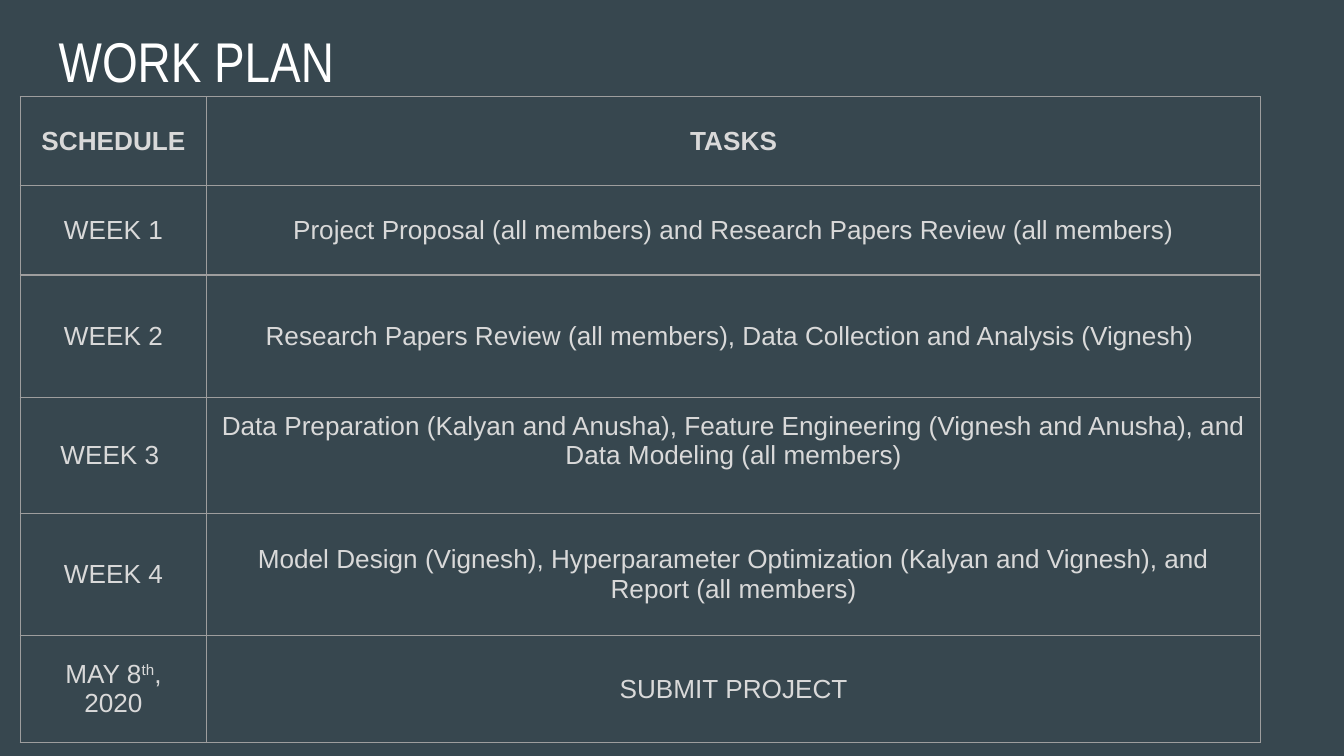
from pptx import Presentation
from pptx.dml.color import RGBColor
from pptx.enum.text import MSO_ANCHOR, MSO_AUTO_SIZE, PP_ALIGN
from pptx.oxml import parse_xml
from pptx.oxml.ns import nsdecls
from pptx.util import Cm, Pt

BACKGROUND, WHITE, TEXT, BORDER = "37474F", "FFFFFF", "D9D9D9", "9E9E9E"
INSET = Cm(0.25)
COLUMN_WIDTHS = [3.53, 19.91]
ROW_HEIGHTS = [1.67, 1.7, 2.31, 2.19, 2.31, 2.03]

# Each cell is a list of runs; every second run is superscript
PLAN = [
    (["SCHEDULE"], ["TASKS"]),
    (["WEEK 1"], ["Project Proposal (all members) and Research Papers Review (all members)"]),
    (["WEEK 2"], ["Research Papers Review (all members), Data Collection and Analysis (Vignesh) "]),
    (["WEEK 3 "], ["Data Preparation (Kalyan and Anusha), Feature Engineering "
                   "(Vignesh and Anusha), and Data Modeling (all members)"]),
    (["WEEK 4"], ["Model Design (Vignesh), Hyperparameter Optimization "
                  "(Kalyan and Vignesh), and Report (all members)"]),
    (["MAY 8", "th", ", 2020"], ["SUBMIT PROJECT"]),
]


def rgb(color):
    return RGBColor.from_string(color)


def set_font(p, name, size, color, bold=False):
    p.font.name, p.font.size, p.font.bold = name, Pt(size), bold
    p.font.color.rgb = rgb(color)


def set_insets(box):
    box.margin_left = box.margin_right = INSET
    box.margin_top = box.margin_bottom = INSET


def add_title(s, text):
    sp = s.shapes.title
    sp.left, sp.top, sp.width, sp.height = Cm(0.86), Cm(0.25), Cm(23.67), Cm(1.6)
    tf = sp.text_frame
    tf.text = text
    tf.auto_size = MSO_AUTO_SIZE.NONE
    tf.vertical_anchor = MSO_ANCHOR.TOP
    set_insets(tf)
    p = tf.paragraphs[0]
    p.alignment = PP_ALIGN.LEFT
    set_font(p, "Arial Narrow", 30, WHITE)


def set_borders(cell):
    tcPr = cell._tc.get_or_add_tcPr()
    for i, side in enumerate(("lnL", "lnR", "lnT", "lnB")):
        tcPr.insert(i, parse_xml(
            f'<a:{side} {nsdecls("a")} w="{Pt(0.75)}"><a:solidFill>'
            f'<a:srgbClr val="{BORDER}"/></a:solidFill></a:{side}>'))


def fill_cell(cell, runs, bold):
    cell.fill.background()
    cell.vertical_anchor = MSO_ANCHOR.MIDDLE
    set_insets(cell)
    set_borders(cell)
    p = cell.text_frame.paragraphs[0]
    p.alignment = PP_ALIGN.CENTER
    set_font(p, "Arial", 14, TEXT, bold)
    for i, text in enumerate(runs):
        r = p.add_run()
        r.text = text
        if i % 2:
            r._r.get_or_add_rPr().set("baseline", "30000")


def add_plan_table(s):
    frame = s.shapes.add_table(len(PLAN), len(COLUMN_WIDTHS), Cm(0.38), Cm(1.83),
                               Cm(sum(COLUMN_WIDTHS)), Cm(sum(ROW_HEIGHTS)))
    table = frame.table
    table.horz_banding = False
    for column, width in zip(table.columns, COLUMN_WIDTHS):
        column.width = Cm(width)
    for i, (row, height) in enumerate(zip(table.rows, ROW_HEIGHTS)):
        row.height = Cm(height)
        for cell, runs in zip(row.cells, PLAN[i]):
            fill_cell(cell, runs, bold=i == 0)
    # The week 3 tasks sit above the middle of their row
    table.cell(3, 1).margin_bottom = Cm(0.8)


def main():
    prs = Presentation()
    prs.slide_width, prs.slide_height = Cm(25.4), Cm(14.29)
    s = prs.slides.add_slide(prs.slide_layouts[5])
    s.background.fill.solid()
    s.background.fill.fore_color.rgb = rgb(BACKGROUND)
    add_title(s, "WORK PLAN")
    add_plan_table(s)
    prs.save("out.pptx")


if __name__ == "__main__":
    main()
